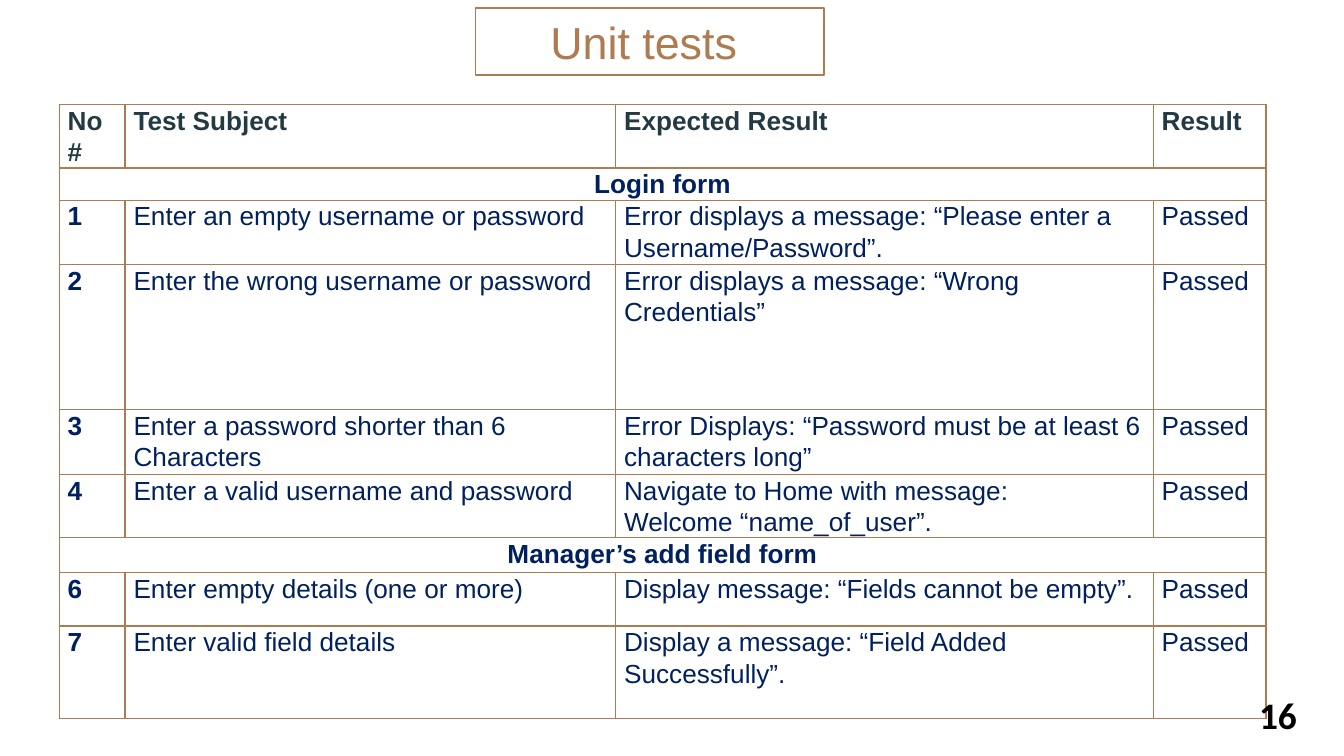
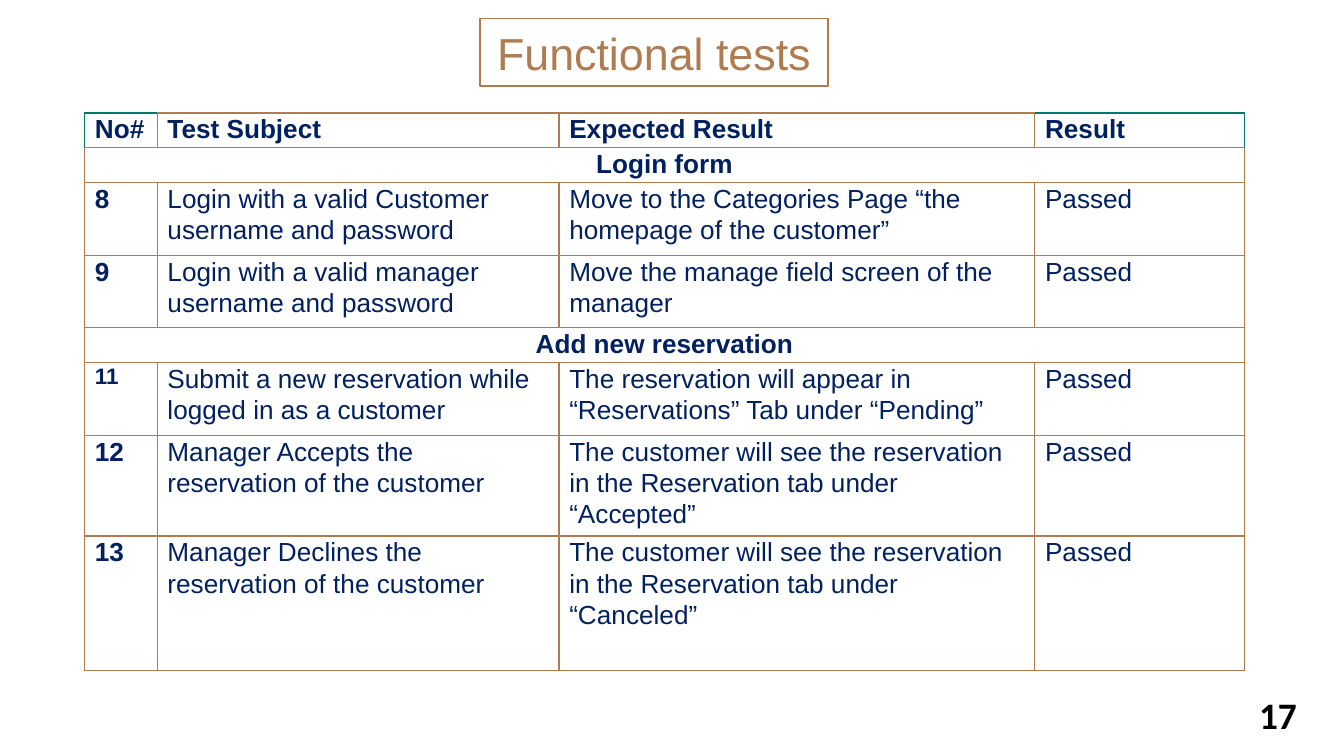
"""Builds two slides of software test tables."""
from lxml import etree
from pptx import Presentation
from pptx import util as u
from pptx.dml.color import RGBColor
from pptx.enum import shapes, text
from pptx.oxml import ns

WIDTH = 10
HEIGHT = WIDTH * 9 / 16
BROWN = RGBColor(0xAF, 0x7B, 0x51)
TEAL = RGBColor(0x00, 0x79, 0x6B)
NAVY = RGBColor(0x00, 0x20, 0x60)
SLATE = RGBColor(0x23, 0x3A, 0x44)
WHITE = RGBColor(0xFF, 0xFF, 0xFF)
BLACK = RGBColor(0x00, 0x00, 0x00)
LINE_WIDTH = u.Pt(0.75)
TITLE_SIZE = (2.59, 0.5)
NUMBER_BOX = (9.27, 5.1, 0.6, 0.43)
PASSED = "Passed"

SLIDES = [
    dict(
        title="Unit tests ", title_at=(3.54, 0.06), number="16",
        table_at=(0.44, 0.78), columns=(0.49, 3.65, 4, 0.84), inset=u.Pt(4.6),
        header_color=SLATE, corner_color=BROWN, small=(),
        rows=[
            (0.47, "No#", "Test Subject", "Expected Result", "Result"),
            (0.24, "Login form"),
            (0.48, "1", "Enter an empty username or password",
             "Error displays a message: “Please enter a Username/Password”.", PASSED),
            (1.08, "2", "Enter the wrong username or password",
             "Error displays a message: “Wrong Credentials”", PASSED),
            (0.48, "3", "Enter a password shorter than 6 Characters",
             "Error Displays: “Password must be at least 6 characters long”", PASSED),
            (0.47, "4", "Enter a valid username and password",
             "Navigate to Home with message: \nWelcome “name_of_user”.", PASSED),
            (0.26, "Manager’s add field form"),
            (0.4, "6", "Enter empty details (one or more)",
             "Display message: “Fields cannot be empty”.", PASSED),
            (0.69, "7", "Enter valid field details",
             "Display a message: “Field Added Successfully”.", PASSED),
        ],
    ),
    dict(
        title="Functional tests ", title_at=(3.57, 0.14), number="17",
        table_at=(0.63, 0.84), columns=(0.54, 2.99, 3.54, 1.56), inset=u.Pt(5.5),
        header_color=NAVY, corner_color=TEAL, small=("11",),
        rows=[
            (0.26, "No#", "Test Subject", "Expected Result", "Result"),
            (0.26, "Login form"),
            (0.54, "8", "Login with a valid Customer username and password",
             "Move to the Categories Page “the homepage of the customer”", PASSED),
            (0.54, "9", "Login with a valid manager username and password",
             "Move the manage field screen of the manager", PASSED),
            (0.26, "Add new reservation"),
            (0.54, "11", "Submit a new reservation while logged in as a customer",
             "The reservation will appear in “Reservations” Tab under “Pending”", PASSED),
            (0.75, "12", "Manager Accepts the reservation of the customer",
             "The customer will see the reservation in the Reservation tab under “Accepted”",
             PASSED),
            (1, "13", "Manager Declines the reservation of the customer",
             "The customer will see the reservation in the Reservation tab under “Canceled”",
             PASSED),
        ],
    ),
]


def inches(values):
    return [u.Inches(v) for v in values]


def write(p, words, size, color, bold=False, font="Arial"):
    for i, line in enumerate(words.split("\n")):
        if i:
            p.add_line_break()
        r = p.add_run()
        r.text = line
        r.font.name, r.font.size, r.font.bold = font, u.Pt(size), bold
        r.font.color.rgb = color


def add_borders(cell, colors):
    tc_pr = cell._tc.get_or_add_tcPr()
    for side in "LRTB":
        ln = etree.SubElement(tc_pr, ns.qn("a:ln" + side), w=str(LINE_WIDTH))
        fill = etree.SubElement(ln, ns.qn("a:solidFill"))
        etree.SubElement(fill, ns.qn("a:srgbClr"), val=str(colors.get(side, BROWN)))


def border_colors(row, column, last, color):
    if row == 0 and column in (0, last):
        return {"T": color, "L" if column == 0 else "R": color}
    return {}


def add_title(slide, words, at):
    sp = slide.shapes.add_shape(shapes.MSO_SHAPE.RECTANGLE, *inches(at + TITLE_SIZE))
    sp.shadow.inherit = False
    sp.fill.background()
    sp.line.color.rgb, sp.line.width = BROWN, LINE_WIDTH
    tf = sp.text_frame
    tf.word_wrap = True
    tf.auto_size = text.MSO_AUTO_SIZE.SHAPE_TO_FIT_TEXT
    tf.vertical_anchor = text.MSO_ANCHOR.TOP
    p = tf.paragraphs[0]
    p.alignment = text.PP_ALIGN.CENTER
    write(p, words, 24, BROWN)


def add_number(slide, number):
    tf = slide.shapes.add_textbox(*inches(NUMBER_BOX)).text_frame
    tf.word_wrap = True
    write(tf.paragraphs[0], number, 20, BLACK, True, "Calibri")


def add_tests(slide, data):
    rows, columns = data["rows"], data["columns"]
    last = len(columns) - 1
    size = (sum(columns), sum(row[0] for row in rows))
    table = slide.shapes.add_table(
        len(rows), len(columns), *inches(data["table_at"] + size)).table
    table.first_row = table.horz_banding = False
    for column, width in zip(table.columns, columns):
        column.width = u.Inches(width)
    for i, (height, *words) in enumerate(rows):
        table.rows[i].height = u.Inches(height)
        section = len(words) == 1
        for j in range(len(columns)):
            cell = table.cell(i, j)
            cell.margin_left = cell.margin_right = data["inset"]
            cell.margin_top = cell.margin_bottom = 0
            add_borders(cell, border_colors(i, j, last, data["corner_color"]))
            cell.fill.solid()
            cell.fill.fore_color.rgb = WHITE
        if section:
            table.cell(i, 0).merge(table.cell(i, last))
        for j, word in enumerate(words):
            p = table.cell(i, j).text_frame.paragraphs[0]
            p.line_spacing = 1.07
            if section:
                p.alignment = text.PP_ALIGN.CENTER
            write(p, word, 12 if word in data["small"] else 14,
                  data["header_color"] if i == 0 else NAVY, i == 0 or j == 0)


def main():
    prs = Presentation()
    prs.slide_width, prs.slide_height = inches((WIDTH, HEIGHT))
    for data in SLIDES:
        slide = prs.slides.add_slide(prs.slide_layouts[6])
        add_tests(slide, data)
        add_title(slide, data["title"], data["title_at"])
        add_number(slide, data["number"])
    prs.save("out.pptx")


if __name__ == "__main__":
    main()
